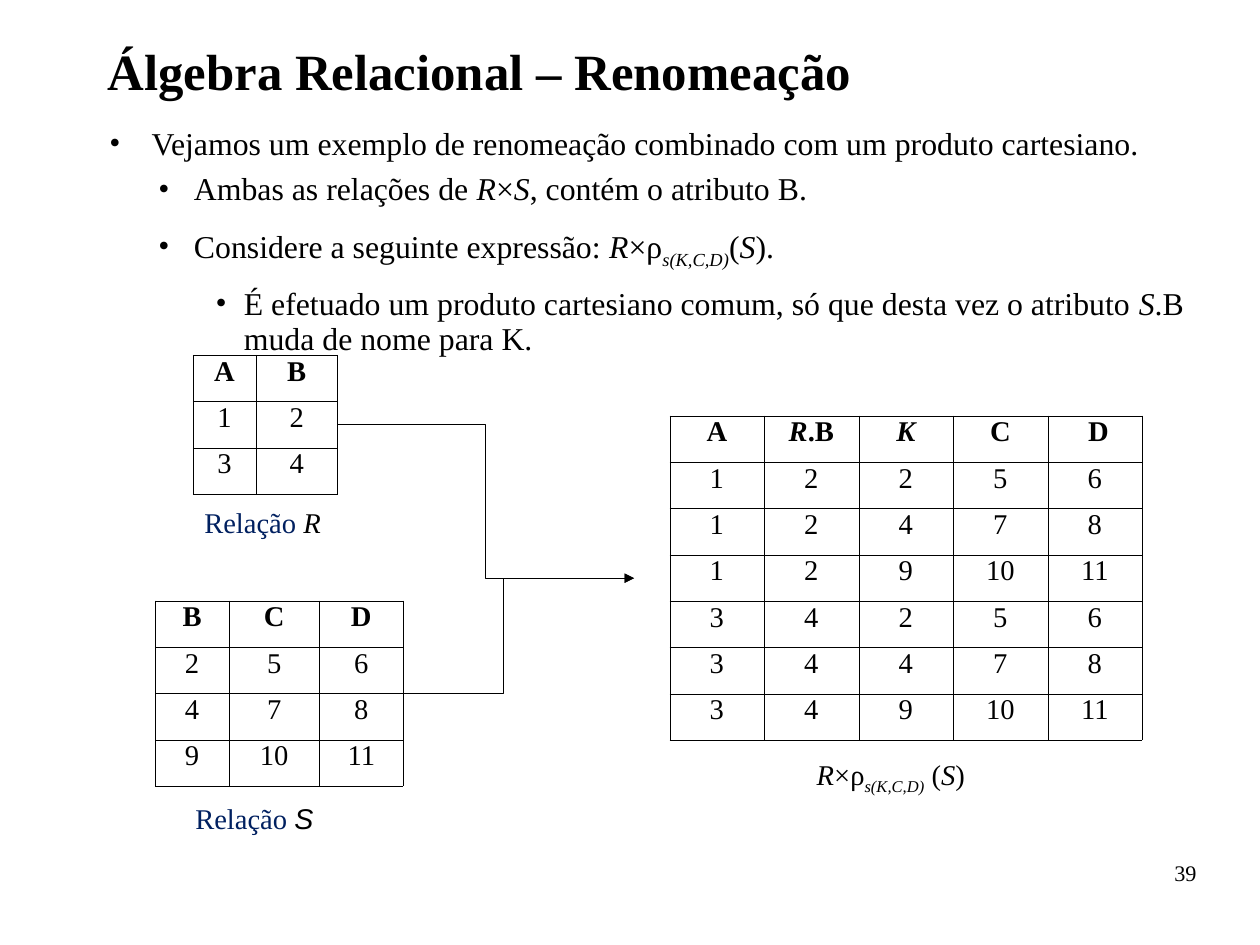
from dataclasses import dataclass
from typing import NamedTuple

from lxml import etree
from pptx import Presentation
from pptx.dml.color import RGBColor
from pptx.enum.shapes import MSO_CONNECTOR
from pptx.enum.text import MSO_ANCHOR, PP_ALIGN
from pptx.oxml.ns import qn
from pptx.util import Cm, Pt

LEFT, RIGHT = PP_ALIGN.LEFT, PP_ALIGN.RIGHT
CENTER, JUSTIFY = PP_ALIGN.CENTER, PP_ALIGN.JUSTIFY
TOP, ELBOW = MSO_ANCHOR.TOP, MSO_CONNECTOR.ELBOW
SERIF, SANS = "Times New Roman", "Arial"
BLACK, NAVY = "000000", "002060"
ROW = 1.03  # table row height, cm
INDENTS = [(1.12, -0.94), (2.06, -0.79), (3.17, -0.63)]  # cm, by level


class Run(NamedTuple):
    text: str
    style: str = ""  # b = bold, i = italic, s = subscript
    color: str = BLACK
    font: str = SERIF


@dataclass
class Para:
    runs: list[Run]
    size: float = 18
    align: PP_ALIGN = LEFT
    line: float = 1.0
    after: float = 0.4
    before: float = 0
    level: int | None = None  # bullet level


@dataclass
class Box:
    area: tuple[float, float, float, float]
    paras: list[Para]
    pad: tuple[float, float] = (0.25, 0.13)


@dataclass
class Grid:
    left: float
    top: float
    cols: list[float]
    head: list[list[Run]]
    rows: list[tuple[int, ...]]


def rgb(code: str) -> RGBColor:
    return RGBColor.from_string(code)


def add_para(para, data: Para) -> None:
    para.alignment = data.align
    para.line_spacing = data.line
    para.space_before = Pt(data.before)
    para.space_after = Pt(data.after)
    if data.level is not None:
        para.level = data.level
        props = para._p.get_or_add_pPr()
        margin, hang = INDENTS[data.level]
        props.set("marL", str(Cm(margin)))
        props.set("indent", str(Cm(hang)))
        tint = etree.SubElement(props, qn("a:buClr"))
        etree.SubElement(tint, qn("a:srgbClr"), val=BLACK)
        etree.SubElement(props, qn("a:buFont"), typeface=SERIF)
        etree.SubElement(props, qn("a:buChar"), char="•")
    for item in data.runs:
        run = para.add_run()
        run.text = item.text
        font = run.font
        font.size, font.name = Pt(data.size), item.font
        font.color.rgb = rgb(item.color)
        font.bold = "b" in item.style
        font.italic = "i" in item.style
        if "s" in item.style:
            run._r.get_or_add_rPr().set("baseline", "-25000")


def add_box(slide, box: Box) -> None:
    frame = slide.shapes.add_textbox(*map(Cm, box.area)).text_frame
    frame.word_wrap = True
    frame.vertical_anchor = TOP
    side, edge = map(Cm, box.pad)
    frame.margin_left = frame.margin_right = side
    frame.margin_top = frame.margin_bottom = edge
    for num, data in enumerate(box.paras):
        add_para(frame.add_paragraph() if num else frame.paragraphs[0], data)


def add_edges(cell) -> None:
    props = cell._tc.get_or_add_tcPr()
    for num, side in enumerate("LRTB"):
        edge = etree.Element(qn(f"a:ln{side}"), w=str(Pt(0.06)))
        fill = etree.SubElement(edge, qn("a:solidFill"))
        etree.SubElement(fill, qn("a:srgbClr"), val=BLACK)
        props.insert(num, edge)


def add_grid(slide, grid: Grid) -> None:
    lines = [grid.head] + [[[Run(str(num))] for num in row] for row in grid.rows]
    table = slide.shapes.add_table(
        len(lines), len(grid.cols), Cm(grid.left), Cm(grid.top),
        Cm(sum(grid.cols)), Cm(ROW * len(lines))).table
    table.first_row = table.horz_banding = False
    for col, width in zip(table.columns, grid.cols):
        col.width = Cm(width)
    for row, line in zip(table.rows, lines):
        row.height = Cm(ROW)
        for cell, runs in zip(row.cells, line):
            cell.fill.background()
            add_edges(cell)
            add_para(cell.text_frame.paragraphs[0],
                     Para(runs, align=CENTER, line=0.8))


def add_arrow(slide, start: tuple[float, float], end: tuple[float, float]) -> None:
    arrow = slide.shapes.add_connector(ELBOW, *map(Cm, start + end))
    arrow.line.color.rgb = rgb(BLACK)
    arrow.line.width = Pt(0.75)
    etree.SubElement(arrow.line._get_or_add_ln(), qn("a:tailEnd"), type="triangle")
    etree.SubElement(arrow._element.spPr, qn("a:effectLst"))


def heads(names: str) -> list[list[Run]]:
    return [[Run(name, "b")] for name in names]


def rename(gap: str = "") -> list[Run]:
    return [Run("R", "i"), Run("×ρ"), Run("s(K,C,D)", "is"),
            Run(gap + "("), Run("S", "i")]


def label(left: float, top: float, name: Run) -> Box:
    return Box((left, top, 3.61, 1.02), [Para([Run("Relação ", color=NAVY), name])])


def point(level: int, after: float, *runs: Run) -> Para:
    return Para(list(runs), 20, line=0.93, after=after, before=0.4, level=level)


# Text
TITLE = Box((2.39, 1, 24.21, 1.7), [
    Para([Run("Álgebra Relacional – Renomeação", "b")], 32, line=0.93)], (0, 0))
BODY = Box((2.25, 2.69, 24.21, 15.19), [
    Para([Run("Vejamos um exemplo de renomeação combinado com um produto "
              "cartesiano.")], 20, JUSTIFY, after=6.4, level=0),
    point(1, 11.8, Run("Ambas as relações de "), Run("R", "i"), Run("×"),
          Run("S", "i"), Run(", contém o atributo B.")),
    point(1, 11.8, Run("Considere a seguinte expressão: "), *rename(), Run(").")),
    point(2, 8.9, Run("É efetuado um produto cartesiano comum, só que desta vez "
                      "o atributo "), Run("S", "i"), Run(".B muda de nome para K.")),
], (0, 0.05))
NUMBER = Box((20.06, 19.13, 6.53, 1.45),
             [Para([Run("39")], 14, RIGHT, 0.95)], (0, 0))
LABELS = [
    label(4.29, 11.09, Run("R", "i")),
    label(4.09, 17.67, Run("S", "i", font=SANS)),
    Box((17.9, 16.69, 4.6, 1.12), [Para(rename(" ") + [Run(")")])]),
]

# Relations R and S, and their product
R_ROWS = [(1, 2), (3, 4)]
S_ROWS = [(2, 5, 6), (4, 7, 8), (9, 10, 11)]
GRIDS = [
    Grid(4.29, 7.89, [1.4, 1.81], heads("AB"), R_ROWS),
    Grid(3.45, 13.35, [1.64, 2.01, 1.86], heads("BCD"), S_ROWS),
    Grid(14.88, 9.24, [2.1] * 5,
         [[Run("A", "b")], [Run("R", "bi"), Run(".B", "b")], [Run("K", "bi")],
          [Run("C", "b")], [Run(" D", "b")]],
         [left + right for left in R_ROWS for right in S_ROWS]),
]
STARTS = [(7.49, 9.44), (8.28, 15.42)]
MEET = (14.09, 12.85)


def main() -> None:
    deck = Presentation()
    deck.slide_width, deck.slide_height = Cm(28), Cm(21)
    slide = deck.slides.add_slide(deck.slide_layouts[6])
    for box in [TITLE, BODY, NUMBER, *LABELS]:
        add_box(slide, box)
    for grid in GRIDS:
        add_grid(slide, grid)
    for start in STARTS:
        add_arrow(slide, start, MEET)
    deck.save("out.pptx")


if __name__ == "__main__":
    main()
